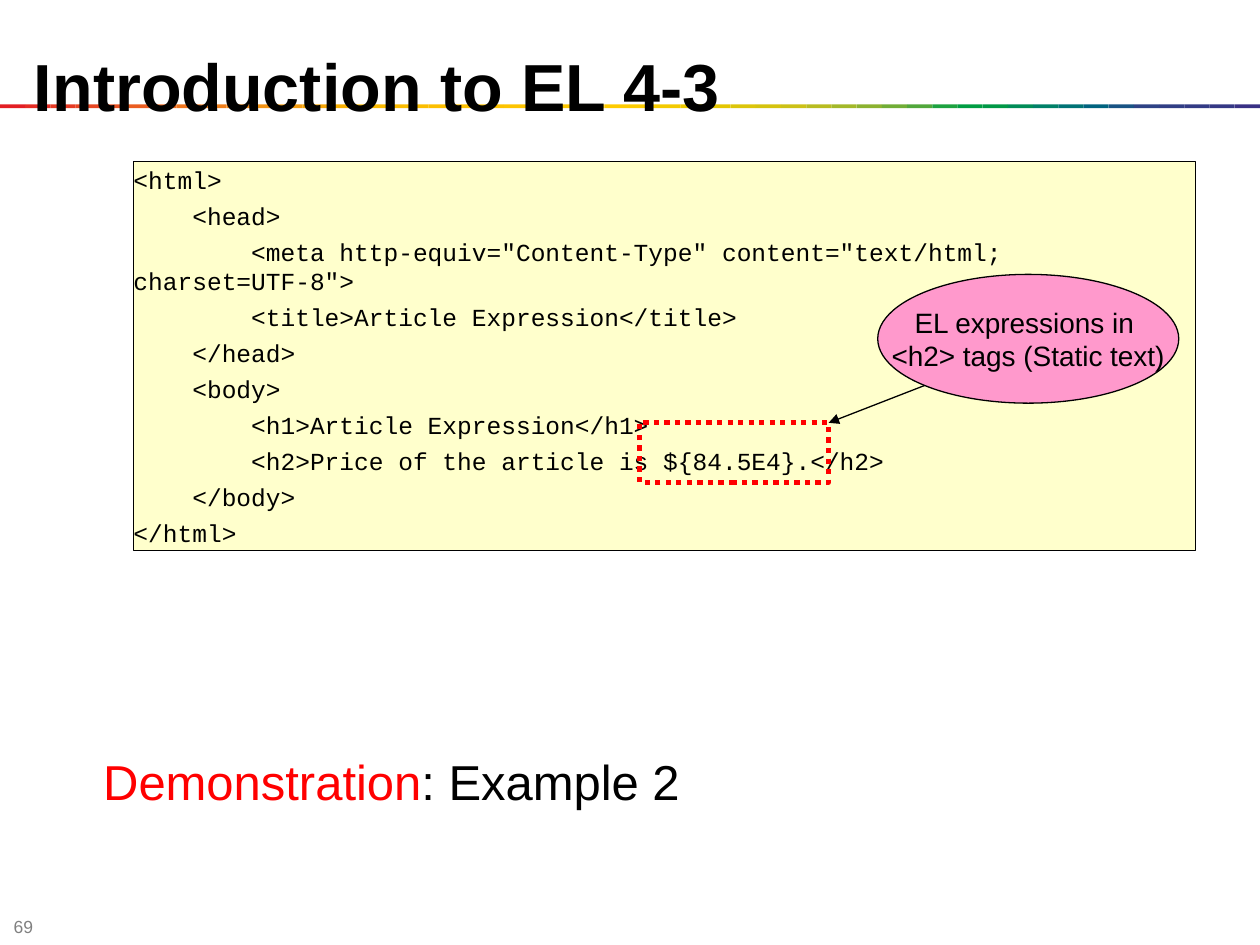
from lxml.etree import SubElement
from pptx import Presentation
from pptx.dml.color import RGBColor
from pptx.enum.dml import MSO_LINE
from pptx.enum.shapes import MSO_CONNECTOR, MSO_SHAPE
from pptx.enum.text import MSO_ANCHOR, MSO_AUTO_SIZE, PP_ALIGN
from pptx.oxml.ns import qn
from pptx.util import Pt

HUES = {"ink": "000000", "red": "FF0000", "cream": "FFFFCC", "pink": "FF99CC", "gray": "808080"}

BAND = """
E31E24 E42C24 E53A24 E74623 E85122 EA5D21 EC691F EE741D EF7E1A F18817
F39314 F49C0F F6A607 F8B002 FBBA00 FBBB00 FBBD00 FCBF00 FCC000 FCC200
FDC400 FDC600 FDC700 FEC900 FECB00 FBCB00 F3CA00 ECC800 E4C602 DCC50A
D5C30E CCC117 B8BC21 A3B829 8CB230 71AD36 51A73B 1DA240 009D43 009846
008C57 008068 007275 00637F 185384 2E4285 313E85 333B85 353885 393185
""".split()

CODE = """<html>
    <head>
        <meta http-equiv="Content-Type" content="text/html; charset=UTF-8">
        <title>Article Expression</title>
    </head>
    <body>
        <h1>Article Expression</h1>
        <h2>Price of the article is ${84.5E4}.</h2>
    </body>
</html>""".splitlines()


def paint(code):
    """Turn a hex string into a colour."""
    return RGBColor.from_string(code)


def place(box):
    """Turn a box in points into lengths."""
    return [Pt(n) for n in box]


def write(para, text, size, hue="ink", face="Arial", bold=False):
    """Add one formatted run to a paragraph."""
    run = para.add_run()
    run.text = text
    font = run.font
    font.size, font.name, font.bold = Pt(size), face, bold
    font.color.rgb = paint(HUES[hue])


def frame(shape, pads, anchor, wrap=True):
    """Set insets, anchor and wrapping, and give back the text frame."""
    text = shape.text_frame
    text.auto_size = MSO_AUTO_SIZE.NONE
    text.word_wrap = wrap
    text.vertical_anchor = anchor
    text.margin_left, text.margin_top, text.margin_right, text.margin_bottom = place(pads)
    return text


def form(slide, kind, box, fill=None, line=None, width=0.75):
    """Add a preset shape with a plain fill and outline."""
    shape = slide.shapes.add_shape(kind, *place(box))
    shape.shadow.inherit = False
    if fill:
        shape.fill.solid()
        shape.fill.fore_color.rgb = paint(fill)
    else:
        shape.fill.background()
    if line:
        shape.line.color.rgb = paint(line)
        shape.line.width = Pt(width)
    else:
        shape.line.fill.background()
    return shape


def band(slide, box):
    """Draw the rainbow rule as equal tiles."""
    left, top, width, height = box
    step = width / len(BAND)
    for i, code in enumerate(BAND):
        form(slide, MSO_SHAPE.RECTANGLE, (left + i * step, top, step, height), code)


def head(slide, box):
    """Place the title over the rule."""
    title = slide.shapes.title
    title.left, title.top, title.width, title.height = place(box)
    para = frame(title, (5, 7.2, 7.2, 0), MSO_ANCHOR.TOP).paragraphs[0]
    para.alignment = PP_ALIGN.LEFT
    write(para, "Introduction to EL 4-3", 38, bold=True)
    tree = slide.shapes.element
    tree.remove(title.element)
    tree.append(title.element)


def label(slide, box, runs, size, pads, anchor):
    """Add a text box with one line of coloured runs."""
    text = frame(slide.shapes.add_textbox(*place(box)), pads, anchor)
    for words, hue in runs:
        write(text.paragraphs[0], words, size, hue)


def listing(slide, box):
    """Show the code in its cream panel."""
    panel = form(slide, MSO_SHAPE.RECTANGLE, box, HUES["cream"], HUES["ink"])
    text = frame(panel, (0, 3.6, 0, 3.6), MSO_ANCHOR.MIDDLE)
    for i, row in enumerate(CODE):
        para = text.add_paragraph() if i else text.paragraphs[0]
        para.alignment = PP_ALIGN.LEFT
        if i:
            para.space_before = Pt(3.75)
        write(para, row, 14, face="Courier New")


def callout(slide, box, mark):
    """Point from an ellipse to the dotted mark around the expression."""
    ring = form(slide, MSO_SHAPE.RECTANGLE, mark, line=HUES["red"], width=3)
    ring.line.dash_style = MSO_LINE.ROUND_DOT
    left, top, width, height = box
    ends = (mark[0] + mark[2], mark[1], left + 0.175 * width, top + 0.845 * height)
    link = slide.shapes.add_connector(MSO_CONNECTOR.STRAIGHT, *place(ends))
    link.line.color.rgb = paint(HUES["ink"])
    link.line.width = Pt(0.75)
    SubElement(link.line._get_or_add_ln(), qn("a:headEnd"), type="triangle")
    SubElement(link.element.spPr, qn("a:effectLst"))
    oval = form(slide, MSO_SHAPE.OVAL, box, HUES["pink"], HUES["ink"])
    text = frame(oval, (7.2, 3.6, 7.2, 3.6), MSO_ANCHOR.MIDDLE, wrap=False)
    for i, row in enumerate(("EL expressions in ", "<h2> tags (Static text)")):
        para = text.add_paragraph() if i else text.paragraphs[0]
        para.alignment = PP_ALIGN.CENTER
        write(para, row, 16)


def main():
    """Build the slide and save it."""
    deck = Presentation()
    deck.slide_width, deck.slide_height = Pt(720), Pt(540)
    slide = deck.slides.add_slide(deck.slide_layouts[5])
    label(slide, (0.8, 523.4, 28, 11.6), [("69", "gray")], 10, (7.2, 0, 0, 0), MSO_ANCHOR.MIDDLE)
    band(slide, (0, 59.6, 720, 2.2))
    head(slide, (14.4, 18.7, 648, 44))
    demo = [("Demonstration", "red"), (": Example 2", "ink")]
    label(slide, (54, 423.4, 648, 57), demo, 28, (5, 6, 7.2, 3.6), MSO_ANCHOR.TOP)
    listing(slide, (76.3, 92.2, 607, 222.5))
    callout(slide, (501.6, 156.8, 172, 73.6), (365.5, 241.6, 108, 34))
    deck.save("out.pptx")


if __name__ == "__main__":
    main()
